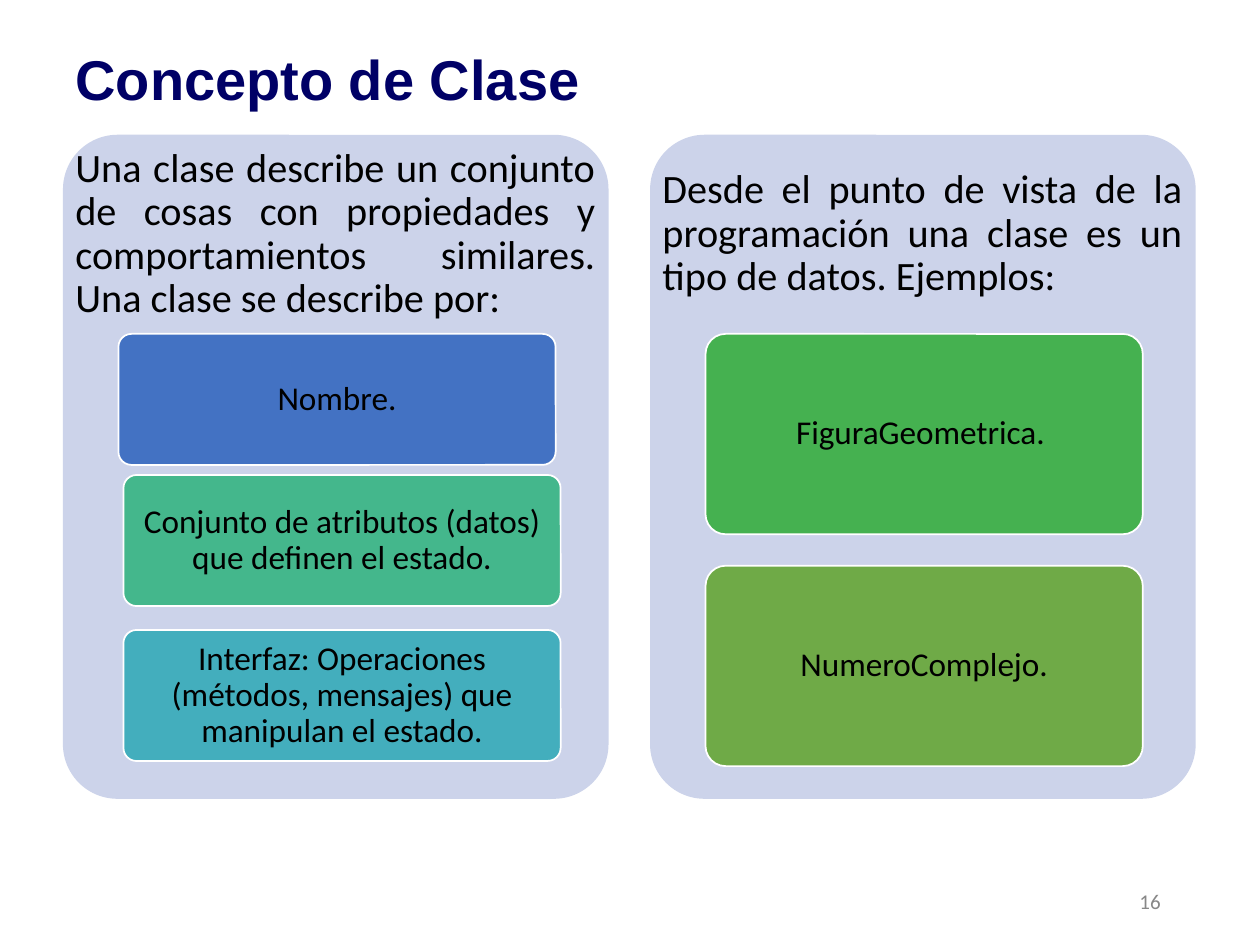
from dataclasses import dataclass

from pptx import Presentation
from pptx.dml.color import RGBColor
from pptx.enum.shapes import MSO_SHAPE as Shape
from pptx.enum.text import MSO_ANCHOR as Anchor, PP_ALIGN as Align
from pptx.util import Inches, Pt


@dataclass(frozen=True)
class Theme:
    title_font: str = "Arial"
    body_font: str = "Calibri"
    title_color: str = "000066"
    text_color: str = "000000"
    number_color: str = "888888"
    panel_color: str = "CCD3EA"
    border_color: str = "FFFFFF"
    title_size: int = 32
    intro_size: int = 23
    card_size: int = 19
    number_size: int = 12


THEME = Theme()
PANEL_TOP, PANEL_WIDTH, PANEL_HEIGHT = 1.07, 4.33, 5.27
INTRO_HEIGHT = 1.58
CARD_WIDTH = 3.47

# Each panel: left, introduction, card height, cards (left, top, colour, text)
PANELS = [
    (0.5,
     "Una clase describe un conjunto de cosas con propiedades y "
     "comportamientos similares. Una clase se describe por:",
     1.04,
     [(0.94, 2.65, "4372C3", "Nombre."),
      (0.98, 3.77, "44B78C",
       "Conjunto de atributos (datos) que definen el estado."),
      (0.98, 5, "43AEBD",
       "Interfaz: Operaciones (métodos, mensajes) que manipulan el estado.")]),
    (5.16,
     "Desde el punto de vista de la programación una clase es un tipo de "
     "datos. Ejemplos:",
     1.59,
     [(5.6, 2.65, "45B150", "FiguraGeometrica. "),
      (5.6, 4.49, "6FAA47", "NumeroComplejo.")]),
]


def write_text(shape, text, size, align, color=THEME.text_color,
               font=THEME.body_font, bold=False, spacing=0.9,
               inset_x=0.1, inset_y=0.05):
    """Fill a shape with one vertically centred paragraph."""
    frame = shape.text_frame
    frame.word_wrap = True
    frame.vertical_anchor = Anchor.MIDDLE
    frame.margin_left = frame.margin_right = Inches(inset_x)
    frame.margin_top = frame.margin_bottom = Inches(inset_y)
    para = frame.paragraphs[0]
    para.text = text
    para.alignment = align
    para.line_spacing = spacing
    para.font.name = font
    para.font.size = Pt(size)
    para.font.bold = bold
    para.font.color.rgb = RGBColor.from_string(color)


def add_text(page, left, top, width, height, text, size, align, **style):
    box = page.shapes.add_textbox(
        Inches(left), Inches(top), Inches(width), Inches(height))
    write_text(box, text, size, align, **style)


def add_rounded(page, left, top, width, height, color, border=None):
    shape = page.shapes.add_shape(
        Shape.ROUNDED_RECTANGLE,
        Inches(left), Inches(top), Inches(width), Inches(height))
    shape.adjustments[0] = 0.1
    shape.shadow.inherit = False
    shape.fill.solid()
    shape.fill.fore_color.rgb = RGBColor.from_string(color)
    if border:
        shape.line.color.rgb = RGBColor.from_string(border)
        shape.line.width = Pt(1)
    else:
        shape.line.fill.background()
    return shape


def add_panel(page, left, intro, card_height, cards):
    add_rounded(page, left, PANEL_TOP, PANEL_WIDTH, PANEL_HEIGHT,
                THEME.panel_color)
    add_text(page, left, PANEL_TOP, PANEL_WIDTH, INTRO_HEIGHT, intro,
             THEME.intro_size, Align.JUSTIFY, inset_y=0.1)
    for card_left, top, color, text in cards:
        card = add_rounded(page, card_left, top, CARD_WIDTH, card_height,
                           color, THEME.border_color)
        write_text(card, text, THEME.card_size, Align.CENTER,
                   inset_x=0.05, inset_y=0.04)


def main():
    deck = Presentation()
    deck.slide_width, deck.slide_height = Inches(10), Inches(7.5)
    page = deck.slides.add_slide(deck.slide_layouts[6])
    add_text(page, 0.5, 0, 8.62, 1.31, "Concepto de Clase",
             THEME.title_size, Align.LEFT, color=THEME.title_color,
             font=THEME.title_font, bold=True)
    for panel in PANELS:
        add_panel(page, *panel)
    add_text(page, 7.06, 6.95, 2.25, 0.4, "16", THEME.number_size,
             Align.RIGHT, color=THEME.number_color, spacing=1.0)
    deck.save("out.pptx")


if __name__ == "__main__":
    main()
